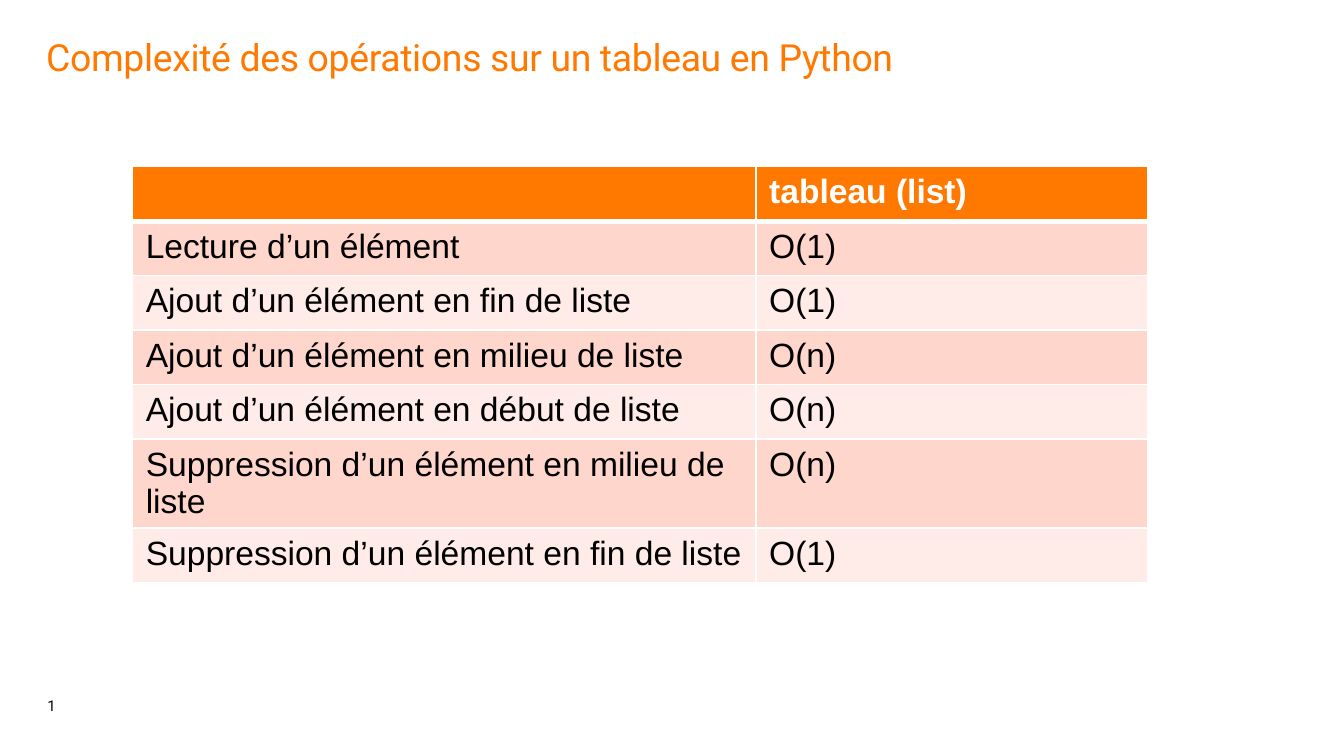
"""Build a slide that tabulates the cost of list operations in Python."""
from typing import NamedTuple

from lxml.etree import SubElement
from pptx import Presentation
from pptx.dml.color import RGBColor
from pptx.enum.text import MSO_ANCHOR, MSO_AUTO_SIZE, PP_ALIGN
from pptx.oxml.ns import qn
from pptx.util import Pt


class Entry(NamedTuple):
    label: str
    cost: str
    height: float = 29.2


class Style(NamedTuple):
    face: str
    size: float
    ink: str
    bold: bool = False


ORANGE, WHITE, BLACK = "FF7900", "FFFFFF", "000000"
BANDS = ("FFD6CC", "FFEBE7")
THIN, THICK = 0.96, 3
HEAD = Style("Arial", 18, WHITE, True)
BODY = Style("Arial", 18, BLACK)
ROWS = (
    Entry("", "tableau (list)"),
    Entry("Lecture d’un élément", "O(1)"),
    Entry("Ajout d’un élément en fin de liste", "O(1)"),
    Entry("Ajout d’un élément en milieu de liste", "O(n)"),
    Entry("Ajout d’un élément en début de liste", "O(n)"),
    Entry("Suppression d’un élément en milieu de liste", "O(n)", 47.4),
    Entry("Suppression d’un élément en fin de liste", "O(1)"),
)
WIDTHS = (334, 210.3)


def color(code: str) -> RGBColor:
    return RGBColor.from_string(code)


def apply(target, values: dict) -> None:
    for name, value in values.items():
        setattr(target, name, value)


def write(frame, text: str, style: Style):
    part = frame.paragraphs[0]
    run = part.add_run()
    run.text = text
    apply(run.font, {"name": style.face, "size": Pt(style.size), "bold": style.bold})
    run.font.color.rgb = color(style.ink)
    return part, run


def place(shape, box: tuple, inset: float, anchor) -> None:
    sides = ("left", "top", "width", "height")
    apply(shape, dict(zip(sides, map(Pt, box))))
    apply(shape.text_frame, {
        "margin_left": Pt(inset), "margin_top": 0, "margin_right": 0,
        "margin_bottom": 0, "word_wrap": True,
        "auto_size": MSO_AUTO_SIZE.NONE, "vertical_anchor": anchor,
    })


def border(cell, widths: dict) -> None:
    props = cell._tc.get_or_add_tcPr()
    for side, width in widths.items():
        line = SubElement(props, qn(f"a:ln{side}"), w=str(Pt(width)))
        fill = SubElement(line, qn("a:solidFill"))
        SubElement(fill, qn("a:srgbClr"), val=WHITE)


def draw_cell(cell, text: str, row: int) -> None:
    border(cell, {
        "L": THIN, "R": THIN,
        "T": THICK if row == 1 else THIN,
        "B": THICK if row == 0 else THIN,
    })
    cell.fill.solid()
    cell.fill.fore_color.rgb = color(BANDS[(row - 1) % 2] if row else ORANGE)
    if text:
        write(cell.text_frame, text, BODY if row else HEAD)


def draw_table(slide) -> None:
    total = sum(entry.height for entry in ROWS)
    frame = slide.shapes.add_table(
        len(ROWS), len(WIDTHS), Pt(70.9), Pt(89.3), Pt(sum(WIDTHS)), Pt(total))
    table = frame.table
    for column, width in zip(table.columns, WIDTHS):
        column.width = Pt(width)
    for row, entry in enumerate(ROWS):
        table.rows[row].height = Pt(entry.height)
        for col, text in enumerate((entry.label, entry.cost)):
            draw_cell(table.cell(row, col), text, row)


def draw_title(slide) -> None:
    title = slide.shapes.title
    place(title, (24.7, 20.9, 670, 58.3), 0, MSO_ANCHOR.TOP)
    part, run = write(title.text_frame,
                      "Complexité des opérations sur un tableau en Python",
                      Style("Roboto", 20, ORANGE))
    apply(part, {"alignment": PP_ALIGN.LEFT, "line_spacing": 0.9})
    run._r.get_or_add_rPr().set("spc", "-20")


def draw_number(slide) -> None:
    box = slide.shapes.add_textbox(0, 0, 0, 0)
    place(box, (24.7, 357.1, 21.6, 25.9), 0.7, MSO_ANCHOR.BOTTOM)
    part, _ = write(box.text_frame, "1", Style("Roboto", 8, BLACK))
    apply(part, {"line_spacing": 0.85, "space_after": Pt(12)})


def main() -> None:
    deck = Presentation()
    apply(deck, {"slide_width": Pt(720), "slide_height": Pt(405)})
    slide = deck.slides.add_slide(deck.slide_layouts[5])
    draw_number(slide)
    draw_title(slide)
    draw_table(slide)
    deck.save("out.pptx")


if __name__ == "__main__":
    main()
